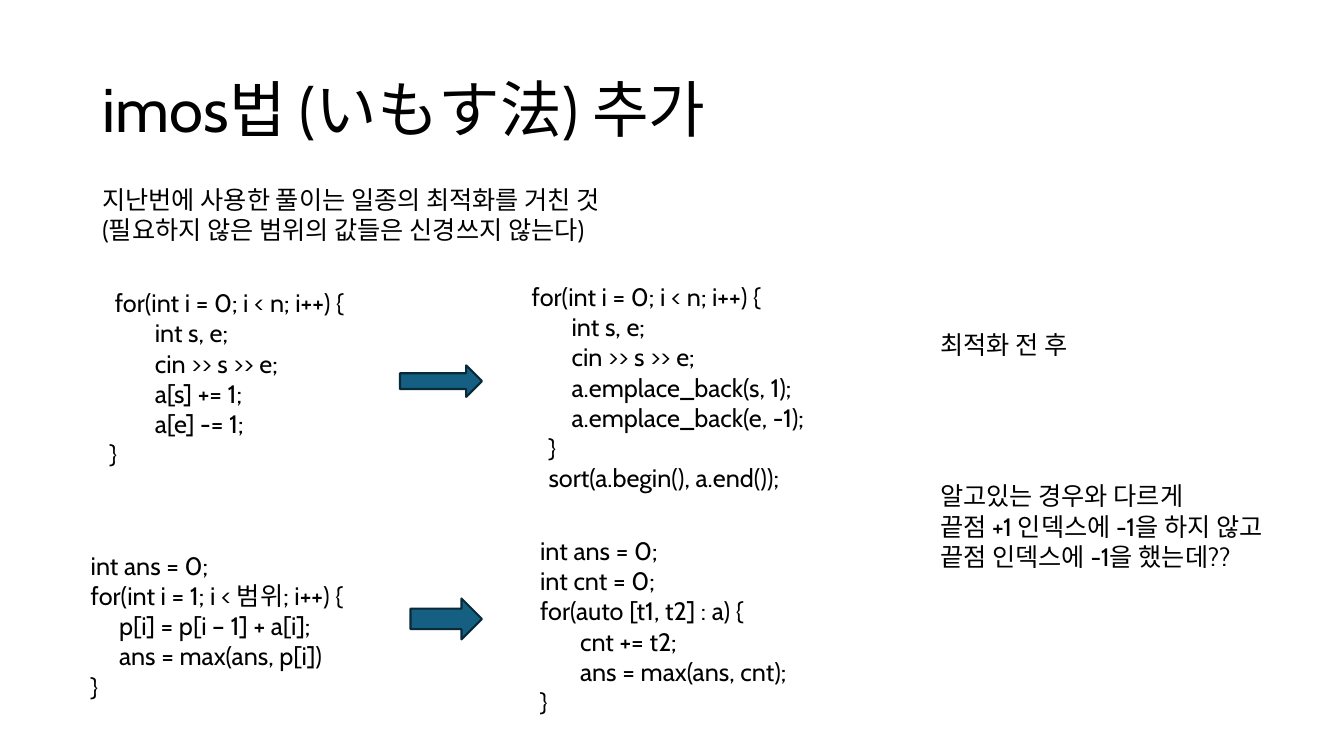
"""Build the slide comparing imos-method code before and after optimisation."""
from dataclasses import dataclass

from pptx import Presentation
from pptx.dml.color import RGBColor
from pptx.enum.shapes import MSO_SHAPE
from pptx.enum.text import MSO_ANCHOR, MSO_AUTO_SIZE, PP_ALIGN
from pptx.slide import Slide
from pptx.text.text import _Paragraph as Paragraph
from pptx.util import Emu, Pt

BLACK = RGBColor(0x00, 0x00, 0x00)
BLUE = RGBColor(0x15, 0x60, 0x82)
NAVY = RGBColor(0x09, 0x2A, 0x39)
FONT = "Cabin"
EMU_PER_PX = 9525


@dataclass(frozen=True)
class Box:
    left: int
    top: int
    width: int
    height: int

    def emu(self) -> tuple[Emu, Emu, Emu, Emu]:
        """Return the box as EMU lengths."""
        lengths = (self.left, self.top, self.width, self.height)
        return tuple(Emu(length * EMU_PER_PX) for length in lengths)


@dataclass(frozen=True)
class Line:
    text: str
    indent: int = 0


@dataclass(frozen=True)
class TextBlock:
    box: Box
    lines: tuple[Line, ...]


TITLE_BOX = Box(88, 38, 1104, 139)

TEXT_BLOCKS = (
    TextBlock(Box(88, 171, 840, 68), (
        Line("지난번에 사용한 풀이는 일종의 최적화를 거친 것"),
        Line("(필요하지 않은 범위의 값들은 신경쓰지 않는다)"),
    )),
    TextBlock(Box(95, 269, 249, 184), (
        Line("for(int i = 0; i < n; i++) {", 5),
        Line("int s, e;", 43),
        Line("cin >> s >> e;", 43),
        Line("a[s] += 1;", 43),
        Line("a[e] -= 1;", 43),
        Line("}"),
    )),
    TextBlock(Box(492, 263, 296, 242), (
        Line("for(int i = 0; i < n; i++) {", 5),
        Line("int s, e;", 43),
        Line("cin >> s >> e;", 43),
        Line("a.emplace_back(s, 1);", 43),
        Line("a.emplace_back(e, -1);", 43),
        Line("}", 21),
        Line("sort(a.begin(), a.end());", 21),
    )),
    TextBlock(Box(77, 519, 279, 156), (
        Line("int ans = 0;"),
        Line("for(int i = 1; i < 범위; i++) {"),
        Line("p[i] = p[i – 1] + a[i];", 27),
        Line("ans = max(ans, p[i])", 27),
        Line("}"),
    )),
    TextBlock(Box(500, 505, 268, 184), (
        Line("int ans = 0;", 5),
        Line("int cnt = 0;", 5),
        Line("for(auto [t1, t2] : a) {", 5),
        Line("cnt += t2;", 43),
        Line("ans = max(ans, cnt);", 43),
        Line("}", 5),
    )),
    TextBlock(Box(886, 309, 151, 38), (Line("최적화 전 후"),)),
    TextBlock(Box(886, 453, 361, 97), (
        Line("알고있는 경우와 다르게"),
        Line("끝점 +1 인덱스에 -1을 하지 않고"),
        Line("끝점 인덱스에 -1을 했는데??"),
    )),
)

ARROWS = (Box(381, 348, 78, 30), Box(391, 570, 68, 39))


def format_paragraph(paragraph: Paragraph, size: int) -> None:
    """Apply the slide's font to a left-aligned paragraph."""
    paragraph.alignment = PP_ALIGN.LEFT
    paragraph.font.name = FONT
    paragraph.font.size = Pt(size)
    paragraph.font.color.rgb = BLACK


def set_title(slide: Slide, text: str) -> None:
    """Fill and place the title placeholder."""
    title = slide.shapes.title
    title.left, title.top, title.width, title.height = TITLE_BOX.emu()
    frame = title.text_frame
    frame.text = text
    frame.auto_size = MSO_AUTO_SIZE.NONE
    frame.vertical_anchor = MSO_ANCHOR.MIDDLE
    paragraph = frame.paragraphs[0]
    paragraph.line_spacing = 0.9
    format_paragraph(paragraph, 44)


def add_text(slide: Slide, block: TextBlock) -> None:
    """Add a text box with one indented paragraph per line."""
    frame = slide.shapes.add_textbox(*block.box.emu()).text_frame
    frame.word_wrap = True
    frame.text = "\n".join(line.text for line in block.lines)
    for paragraph, line in zip(frame.paragraphs, block.lines):
        format_paragraph(paragraph, 18)
        if line.indent:
            properties = paragraph._p.get_or_add_pPr()
            properties.set("marL", str(line.indent * EMU_PER_PX))
            properties.set("indent", "0")


def add_arrow(slide: Slide, box: Box) -> None:
    """Add a block arrow pointing right."""
    arrow = slide.shapes.add_shape(MSO_SHAPE.RIGHT_ARROW, *box.emu())
    arrow.shadow.inherit = False
    arrow.fill.solid()
    arrow.fill.fore_color.rgb = BLUE
    arrow.line.color.rgb = NAVY
    arrow.line.width = Pt(1.5)


def main() -> None:
    """Build and save the presentation."""
    presentation = Presentation()
    presentation.slide_width = Emu(1280 * EMU_PER_PX)
    presentation.slide_height = Emu(720 * EMU_PER_PX)
    slide = presentation.slides.add_slide(presentation.slide_layouts[5])
    set_title(slide, "imos법 (いもす法) 추가")
    for block in TEXT_BLOCKS:
        add_text(slide, block)
    for box in ARROWS:
        add_arrow(slide, box)
    presentation.save("out.pptx")


if __name__ == "__main__":
    main()
